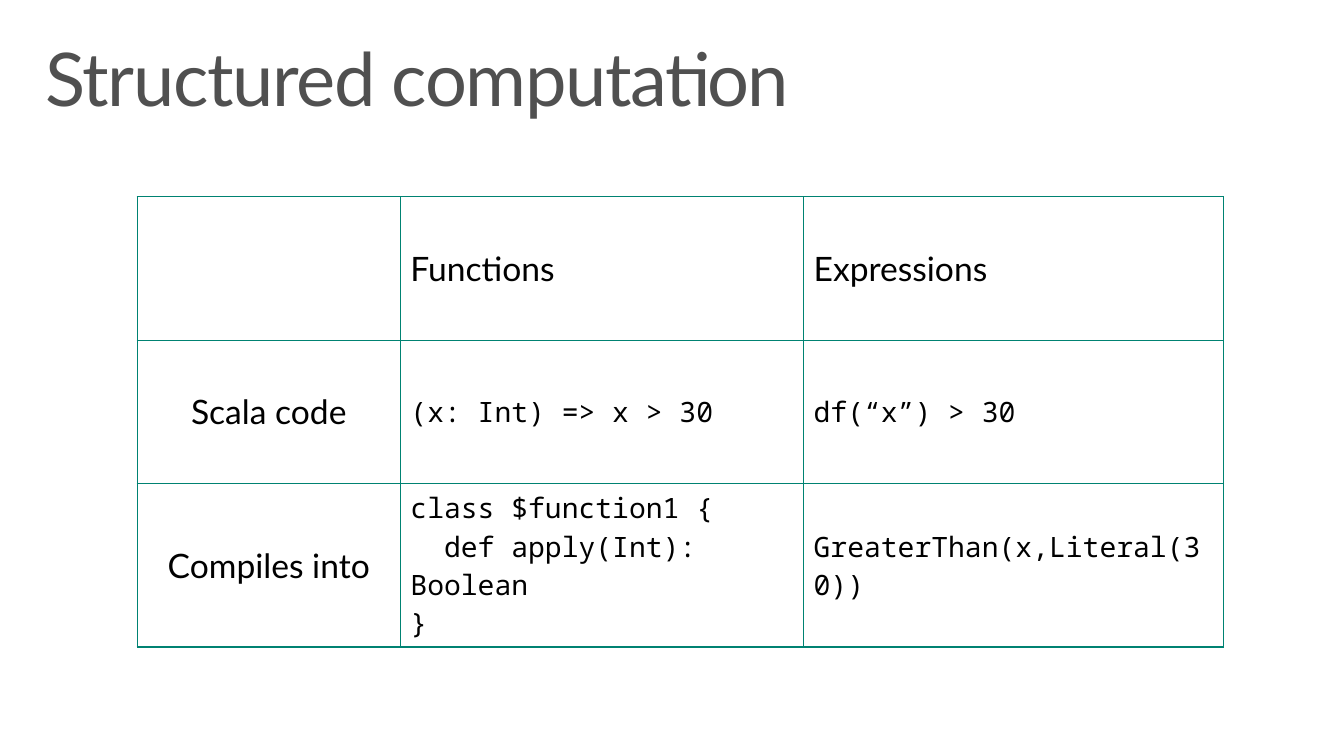
import pptx
import pptx.dml.color
import pptx.enum.text
import pptx.oxml
import pptx.oxml.ns
import pptx.util

Pt = pptx.util.Pt
COLORS = {"title": "505050", "text": "000000", "border": "008272", "cell": "FFFFFF"}
ROWS = [
    ["", "Functions", "Expressions"],
    ["Scala code", "(x: Int) => x > 30", "df(“x”) > 30"],
    [
        "Compiles into",
        "class $function1 {\n  def apply(Int): Boolean\n}",
        "GreaterThan(x,Literal(30))",
    ],
]
COLUMN_SHARES = [188, 288, 300]


def rgb(name):
    """Return the named colour."""
    return pptx.dml.color.RGBColor.from_string(COLORS[name])


def style_runs(p, font, size, color):
    """Format every run of a paragraph."""
    for r in p.runs:
        r.font.name = font
        r.font.size = Pt(size)
        r.font.color.rgb = rgb(color)


def add_title(s, text, left, top, width, height):
    """Place the slide title in the given box."""
    sp = s.shapes.title
    sp.left, sp.top, sp.width, sp.height = Pt(left), Pt(top), Pt(width), Pt(height)
    tf = sp.text_frame
    tf.text = text
    tf.word_wrap = True
    tf.auto_size = pptx.enum.text.MSO_AUTO_SIZE.NONE
    tf.vertical_anchor = pptx.enum.text.MSO_ANCHOR.TOP
    tf.margin_left = tf.margin_right = Pt(11.5)
    tf.margin_top = tf.margin_bottom = Pt(7.2)
    p = tf.paragraphs[0]
    p.alignment = pptx.enum.text.PP_ALIGN.LEFT
    p.line_spacing = 0.9
    style_runs(p, "Lato", 52.9, "title")
    for r in p.runs:
        r.font._element.set("spc", "-100")


def add_borders(cell):
    """Draw a thin line on all four sides of a cell."""
    tcPr = cell._tc.get_or_add_tcPr()
    for side in ("lnL", "lnR", "lnT", "lnB"):
        tcPr.append(pptx.oxml.parse_xml(
            f'<a:{side} {pptx.oxml.ns.nsdecls("a")} w="{Pt(1)}"><a:solidFill>'
            f'<a:srgbClr val="{COLORS["border"]}"/></a:solidFill></a:{side}>'
        ))


def fill_cell(cell, text, is_label, is_centered):
    """Write and format one table cell."""
    add_borders(cell)
    cell.fill.solid()
    cell.fill.fore_color.rgb = rgb("cell")
    cell.vertical_anchor = pptx.enum.text.MSO_ANCHOR.MIDDLE
    cell.text_frame.text = text
    font, size = ("Lato", 24) if is_label else ("Noto Sans Mono", 20)
    for p in cell.text_frame.paragraphs:
        if is_centered:
            p.alignment = pptx.enum.text.PP_ALIGN.CENTER
        style_runs(p, font, size, "text")


def add_comparison(s, left, top, width, height):
    """Place the comparison table in the given box."""
    table = s.shapes.add_table(
        len(ROWS), len(COLUMN_SHARES), Pt(left), Pt(top), Pt(width), Pt(height)
    ).table
    table.first_row = table.horz_banding = False
    for column, share in zip(table.columns, COLUMN_SHARES):
        column.width = Pt(width * share / sum(COLUMN_SHARES))
    for i, row in enumerate(ROWS):
        for j, text in enumerate(row):
            fill_cell(table.cell(i, j), text, i == 0 or j == 0, j == 0)


def main():
    """Build the slide and save it."""
    prs = pptx.Presentation()
    prs.slide_width, prs.slide_height = Pt(960), Pt(540)
    s = prs.slides.add_slide(prs.slide_layouts[5])
    add_title(s, "Structured computation", 21, 23, 918, 70.5)
    add_comparison(s, 98, 140.5, 776, 307.5)
    prs.save("out.pptx")


if __name__ == "__main__":
    main()
